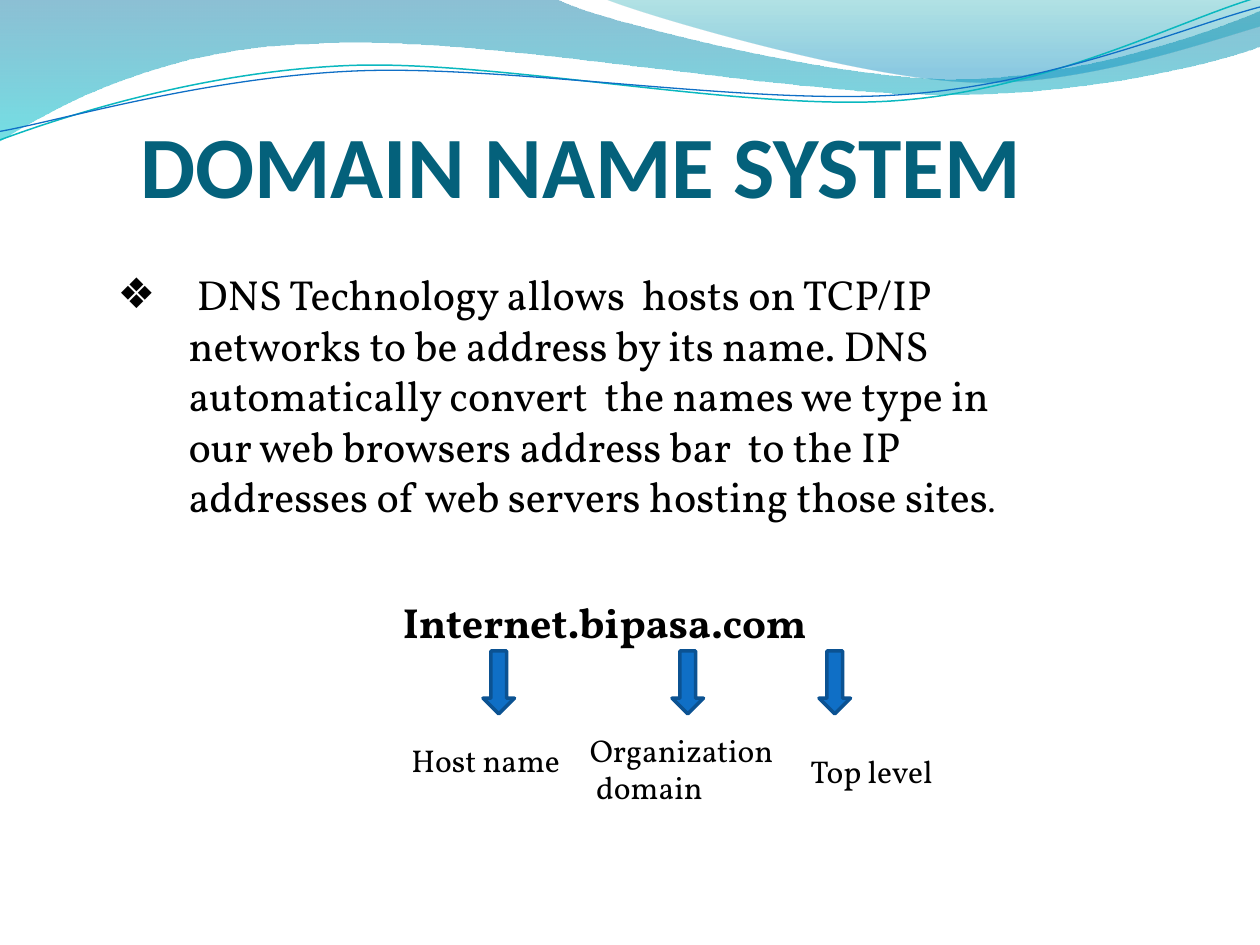
from lxml.etree import Element as Node, SubElement as Sub
from pptx import Presentation as Deck
from pptx.dml.color import RGBColor as Rgb
from pptx.enum.shapes import MSO_SHAPE as Kind
from pptx.enum.text import MSO_ANCHOR as Anchor, MSO_AUTO_SIZE as Auto, PP_ALIGN as Align
from pptx.oxml.ns import qn
from pptx.util import Pt

HUE = {
    "text": "000000", "title": "04617B", "arrow": "0F6FC6", "edge": "0B5292",
    "teal": "0AB8BF", "deep": "0074A1", "aqua": "00C6CF", "sea": "00A1A9",
    "sky": "008BBF",
}
SERIF = "Vollkorn"

# Each step holds one point (a line) or three points (a cubic curve).
BAND = [(0, 0), (317, -1), (343, 12, 478, 45, 546, 45), (614, 45, 690, 19, 720, 6),
        (721, 26), (708, 32, 626, 55, 537, 54), (447, 54, 275, 20, 185, 24.5),
        (93, 26, 33, 60, -1, 81), (0, 0)]
CREST = [(345, -1), (366, 8, 491, 45, 554, 47), (616, 50, 692, 23, 720, 15),
         (720, 0), (345, -1)]
# The two thin curves are level here and tilted once they are drawn.
TILT = 357.3
UPPER = [(-1.4, 63), (34.2, 51.7, 114.3, 29.4, 199.4, 29.9),
         (284.4, 30.4, 425.8, 67.2, 512, 64.7), (599.2, 62.3, 676.1, 25.9, 720.6, 15.4)]
LOWER = [(-1.1, 58.1), (33.2, 53.7, 118.2, 32.6, 204.3, 33.2),
         (290.4, 33.7, 429.1, 63.8, 515.3, 61.4), (601.4, 59.4, 679, 30, 721.4, 21)]


def color(name):
    return Rgb.from_string(HUE[name])


def bend(shape, steps):
    """Join the three lines of each curved step into one cubic curve."""
    lines = iter(list(shape.element.iter(qn("a:lnTo"))))
    for step in steps[1:]:
        group = [next(lines) for _ in step[::2]]
        if len(group) == 1:
            continue
        curve = Node(qn("a:cubicBezTo"))
        group[0].addprevious(curve)
        for line in group:
            curve.append(line[0])
            line.getparent().remove(line)


def add_path(slide, steps, close):
    dots = [(Pt(x), Pt(y)) for step in steps for x, y in zip(step[::2], step[1::2])]
    pen = slide.shapes.build_freeform(*dots[0])
    pen.add_line_segments(dots[1:], close=close)
    shape = pen.convert_to_shape()
    bend(shape, steps)
    shape.shadow.inherit = False
    return shape


def add_wave(slide, steps, stops):
    """Add a closed wave; each stop is a place, a colour name and an opacity."""
    shape = add_path(slide, steps, True)
    shape.line.fill.background()
    shape.fill.gradient()
    shape.fill.gradient_angle = 270
    for stop, (place, name, alpha) in zip(shape.fill.gradient_stops, stops):
        stop.position = place
        stop.color.rgb = color(name)
    tones = shape.element.spPr.iter(qn("a:srgbClr"))
    for tone, (place, name, alpha) in zip(tones, stops):
        Sub(tone, qn("a:alpha"), val=str(alpha * 1000))


def add_curve(slide, steps, name, width):
    shape = add_path(slide, steps, False)
    shape.rotation = TILT
    shape.fill.background()
    shape.line.color.rgb = color(name)
    shape.line.width = Pt(width)


def style(para, size, name=SERIF, hue="text", bold=False):
    font = para.font
    font.name, font.size, font.bold = name, Pt(size), bold
    font.color.rgb = color(hue)


def place(holder, left, top, width, height):
    """Move a placeholder to the front, set its box and return its text frame."""
    holder.left, holder.top = Pt(left), Pt(top)
    holder.width, holder.height = Pt(width), Pt(height)
    holder.element.getparent().append(holder.element)
    frame = holder.text_frame
    frame.auto_size = Auto.NONE
    frame.vertical_anchor = Anchor.TOP
    return frame


def indent(para, left, first, mark=None):
    props = para._p.get_or_add_pPr()
    props.set("marL", str(Pt(left)))
    props.set("indent", str(Pt(first)))
    if mark:
        Sub(props, qn("a:buChar"), char=mark)
    else:
        Sub(props, qn("a:buNone"))


def fill_title(slide):
    frame = place(slide.shapes.title, 44, 59.75, 576, 90)
    para = frame.paragraphs[0]
    para.text = "DOMAIN NAME SYSTEM"
    para.alignment = Align.CENTER
    style(para, 50, "Calibri", "title", True)


def fill_body(slide):
    frame = place(slide.placeholders[1], 60, 150, 552, 312)
    para = frame.paragraphs[0]
    para.space_before = Pt(0)
    indent(para, 40.5, -40.5, "❖")
    para.add_run().text = (
        " DNS Technology allows  hosts on TCP/IP networks to be address by its name. "
        "DNS automatically convert  the names we type in our web browsers address bar  "
        "to the IP addresses of web servers hosting those sites")
    style(para, 24)
    dot = para.add_run()
    dot.text = "."
    dot.font.size = Pt(18)

    host = frame.add_paragraph()
    host.text = "Internet.bipasa.com"
    host.space_before = Pt(43.5)
    indent(host, 163, 0)
    style(host, 24, bold=True)


def add_arrow(slide, left):
    shape = slide.shapes.add_shape(Kind.DOWN_ARROW, Pt(left), Pt(372), Pt(18), Pt(36))
    shape.shadow.inherit = False
    shape.fill.solid()
    shape.fill.fore_color.rgb = color("arrow")
    shape.line.color.rgb = color("edge")
    shape.line.width = Pt(2)


def add_label(slide, left, top, width, lines):
    box = slide.shapes.add_textbox(Pt(left), Pt(top), Pt(width), Pt(7.2 + 21.8 * len(lines)))
    frame = box.text_frame
    frame.word_wrap = len(lines) > 1
    frame.text = "\n".join(lines)
    for para in frame.paragraphs:
        style(para, 18)


def main():
    deck = Deck()
    deck.slide_width, deck.slide_height = Pt(720), Pt(540)
    slide = deck.slides.add_slide(deck.slide_layouts[1])
    add_wave(slide, BAND, [(0, "deep", 45), (1, "aqua", 55)])
    add_wave(slide, CREST, [(0, "sea", 30), (0.8, "sky", 45)])
    add_curve(slide, UPPER, "teal", 0.85)
    add_curve(slide, LOWER, "arrow", 0.75)
    fill_title(slide)
    fill_body(slide)
    for left in (384, 276, 468):
        add_arrow(slide, left)
    add_label(slide, 228, 420, 100, ["Host name"])
    add_label(slide, 330, 414, 120, ["Organization", " domain"])
    add_label(slide, 456, 426, 84, ["Top level"])
    deck.save("out.pptx")


if __name__ == "__main__":
    main()
